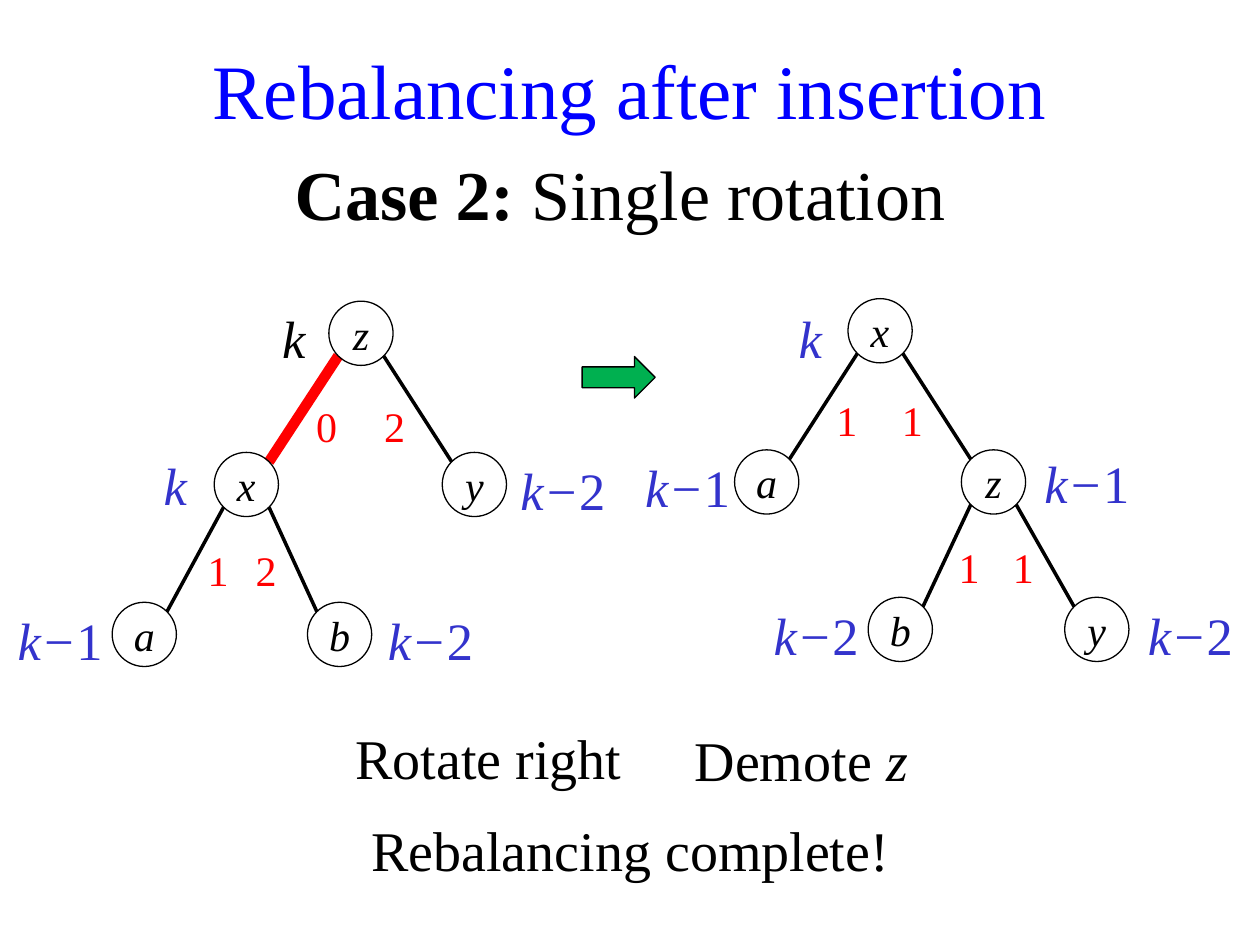
from math import copysign

from lxml import etree
from pptx import Presentation
from pptx.dml.color import RGBColor
from pptx.enum.shapes import MSO_CONNECTOR, MSO_SHAPE as SHAPE
from pptx.enum.text import MSO_ANCHOR as ANCHOR, PP_ALIGN as ALIGN
from pptx.oxml.ns import qn
from pptx.util import Pt

PX = 9144  # 100 px to the inch
NODE = 51
CORNER = 18  # from a node's centre to where its edges meet the circle
FONT = "Times New Roman"
BLACK, RED, BLUE, GREEN, TITLE_BLUE = "000000", "FF0000", "3333CC", "00B050", "0000FF"


def px(*lengths):
    return [round(n * PX) for n in lengths]


def paint(color_format, color):
    color_format.rgb = RGBColor.from_string(color)


def write(tf, runs, size, color):
    """Fill the frame with one centred line of (text, style) runs; style is "", "b" or "i"."""
    tf.word_wrap = True
    p = tf.paragraphs[0]
    p.alignment = ALIGN.CENTER
    p.font.name, p.font.size = FONT, Pt(size)
    paint(p.font.color, color)
    for text, style in runs:
        r = p.add_run()
        r.text = text
        if style == "b":
            r.font.bold = True
        elif style == "i":
            r.font.italic = True
    return p


def add_text(shapes, box, runs, size, color=BLACK):
    tf = shapes.add_textbox(*px(*box)).text_frame
    tf.margin_top, tf.margin_bottom = px(5 + 0.16 * size, 0)
    return write(tf, runs, size, color)


def add_outlined(shapes, kind, box):
    sp = shapes.add_shape(kind, *px(*box))
    sp.shadow.inherit = False
    paint(sp.line.color, BLACK)
    sp.line.width = Pt(0.75)
    return sp


def add_node(shapes, x, y, name):
    sp = add_outlined(shapes, SHAPE.OVAL, (x, y, NODE, NODE))
    sp.fill.background()
    tf = sp.text_frame
    tf.margin_left = tf.margin_right = tf.margin_top = tf.margin_bottom = 0
    tf.vertical_anchor = ANCHOR.MIDDLE
    write(tf, [(name, "i")], 24, BLACK)


def add_edge(shapes, parent, child, color, width):
    """Join the lower corner of the parent to the facing upper corner of the child."""
    (x1, y1), (x2, y2) = ((x + NODE / 2, y + NODE / 2) for x, y in (parent, child))
    dx = copysign(CORNER, x2 - x1)
    line = shapes.add_connector(MSO_CONNECTOR.STRAIGHT,
                                *px(x1 + dx, y1 + CORNER, x2 - dx, y2 - CORNER))
    paint(line.line.color, color)
    line.line.width = Pt(width)
    etree.SubElement(line._element.spPr, qn("a:effectLst"))


def add_tree(s, left, top, nodes, edges, ranks, differences, heavy=None, black_rank=None):
    """Draw a ranked tree whose parts are placed from the corner (left, top)."""
    shapes = s.shapes.add_group_shape().shapes
    at = {name: (left + x, top + y) for name, (x, y) in nodes.items()}
    for edge in edges:
        style = (RED, 6) if edge == heavy else (BLACK, 2)
        add_edge(shapes, at[edge[0]], at[edge[1]], *style)
    for name, (x, y) in at.items():
        add_node(shapes, x, y, name)
    for name, (x, y, drop) in ranks.items():
        runs = [(f" k−" if drop else " k", "i")]
        if drop:
            runs.append((str(drop), ""))
        add_text(shapes, (left + x, top + y, 107 if drop else 64, 61), runs, 30,
                 BLACK if name == black_rank else BLUE)
    for x, y, difference in differences:
        add_text(shapes, (left + x, top + y, 64, 50),
                 [(" ", "i"), (str(difference), "")], 24, RED)


def add_heading(s, left, top, width):
    p = add_text(s.shapes, (left, top, width, 102),
                 [("Rebalancing after insertion", "")], 44, TITLE_BLUE)
    p.line_spacing = 0.9
    add_text(s.shapes, (left - 1, top + 78, width, 77),
             [("Case 2:", "b"), (" Single rotation ", "")], 40)


def add_steps(s, left, top):
    for x, y, width, runs in (
        (0, 0, 590, [("Rotate right", "")]),
        (279, 2, 528, [("Demote ", ""), ("z", "i")]),
        (142, 73, 531, [("Rebalancing complete!", "")]),
    ):
        add_text(s.shapes, (left + x, top + y, width, 64), runs, 32)


def main():
    prs = Presentation()
    prs.slide_width, prs.slide_height = px(1000, 750)
    s = prs.slides.add_slide(prs.slide_layouts[6])

    add_heading(s, 0, 30, 1000)
    add_tree(
        s, -11, 233,
        nodes={"z": (272, 6), "x": (181, 126), "y": (362, 126),
               "a": (100, 245), "b": (255, 245)},
        edges=["zx", "zy", "xa", "xb"],
        ranks={"z": (207, 100 - 100, 0), "x": (113, 117, 0), "y": (399, 121, 2),
               "a": (0, 240, 1), "b": (294, 240, 2)},
        differences=[(234, 76, 0), (288, 76, 2), (148, 190, 1), (186, 190, 2)],
        heavy="zx", black_rank="z",
    )
    add_tree(
        s, 487, 233,
        nodes={"x": (186, 4), "a": (96, 124), "z": (276, 124),
               "b": (202, 241), "y": (358, 241)},
        edges=["xa", "xz", "zb", "zy"],
        ranks={"x": (119, 0, 0), "a": (0, 118, 1), "z": (317, 115, 1),
               "b": (102, 236, 2), "y": (399, 236, 2)},
        differences=[(149, 71, 1), (201, 71, 1), (246, 188, 1), (289, 188, 1)],
    )
    arrow = add_outlined(s.shapes, SHAPE.RIGHT_ARROW, (462, 283, 58, 33))
    arrow.fill.solid()
    paint(arrow.fill.fore_color, GREEN)
    add_steps(s, 93, 564)

    prs.save("out.pptx")


if __name__ == "__main__":
    main()
